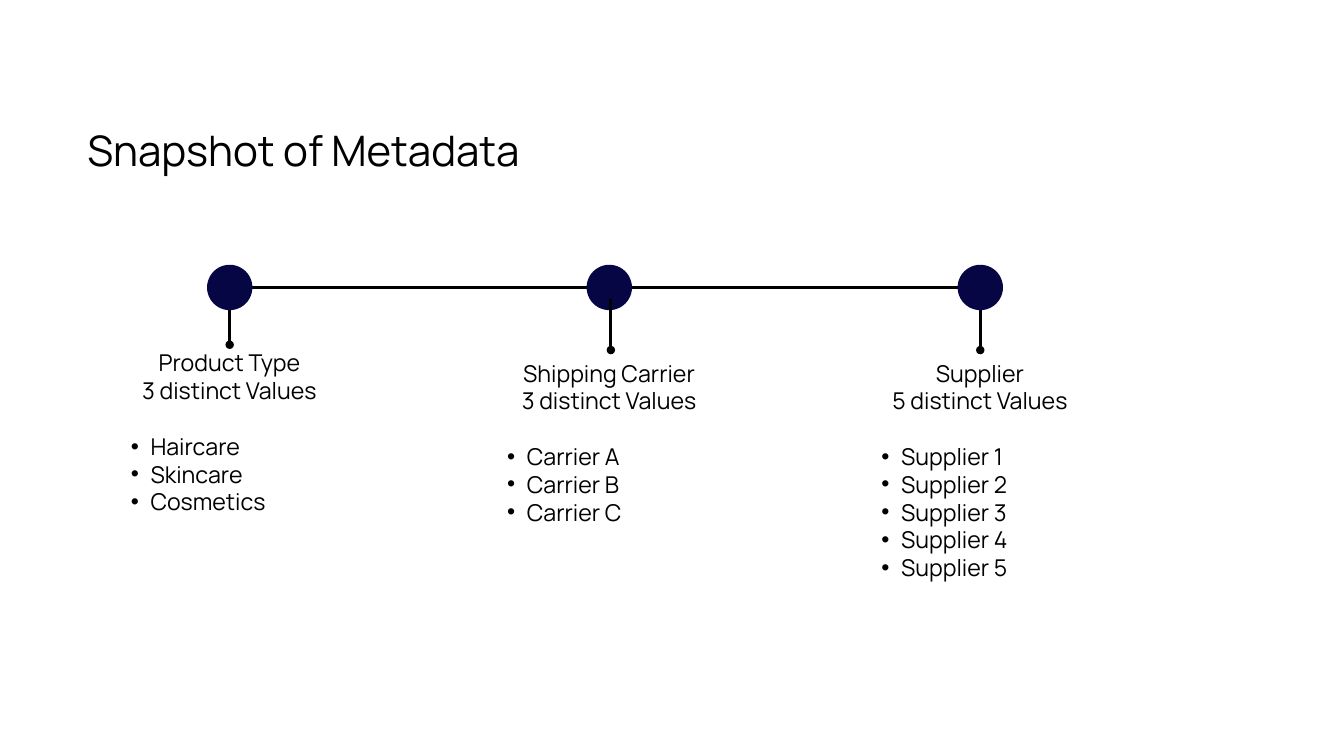
"""Build a one-slide timeline that summarises three metadata fields."""
from dataclasses import dataclass

from lxml import etree
from pptx import Presentation
from pptx import util as u
from pptx.dml.color import RGBColor
from pptx.enum import shapes, text
from pptx.oxml import ns


@dataclass
class Theme:
    ink: RGBColor = RGBColor(0, 0, 0)
    navy: RGBColor = RGBColor(0x06, 0x06, 0x44)
    font: str = "Manrope"
    title_size: float = 45
    title_leading: float = 49.5
    body_size: float = 24.8
    body_leading: float = 29.8
    line_width: float = 3


theme = Theme()
center_y = 308
diameter = 48.6
radius = diameter / 2


def add_line(x1, y1, x2, y2, oval_end=False):
    line = page.shapes.add_connector(
        shapes.MSO_CONNECTOR.STRAIGHT, u.Pt(x1), u.Pt(y1), u.Pt(x2), u.Pt(y2))
    line.line.color.rgb = theme.ink
    line.line.width = u.Pt(theme.line_width)
    if oval_end:
        etree.SubElement(line.line._get_or_add_ln(), ns.qn("a:tailEnd"), type="oval")
    etree.SubElement(line._element.spPr, ns.qn("a:effectLst"))


def add_text(left, top, width, height, lines, size, leading):
    box = page.shapes.add_textbox(u.Pt(left), u.Pt(top), u.Pt(width), u.Pt(height))
    frame = box.text_frame
    frame.margin_left = frame.margin_top = frame.margin_right = frame.margin_bottom = 0
    frame.word_wrap = True
    frame.text = "\n".join(lines)
    for para in frame.paragraphs:
        para.line_spacing = u.Pt(leading)
        for span in para.runs:
            span.font.name = theme.font
            span.font.size = u.Pt(size)
            span.font.color.rgb = theme.ink
    return frame.paragraphs


deck = Presentation()
deck.slide_width, deck.slide_height = u.Pt(1440), u.Pt(810)
page = deck.slides.add_slide(deck.slide_layouts[6])

fields = [
    (246.1, 246.1, 332.3, 369.4, (118.8, 373.7, 254.2, 177.1),
     "Product Type", ["Haircare", "Skincare", "Cosmetics"]),
    (652.8, 654.5, 320.4, 375.1, (522, 384.5, 261.4, 205.9),
     "Shipping Carrier", [f"Carrier {letter}" for letter in "ABC"]),
    (1050.3, 1050.3, 332.3, 375.1, (923, 384.5, 254.2, 235.4),
     "Supplier", [f"Supplier {number}" for number in range(1, 6)]),
]

add_text(93.6, 137.5, 559.4, 54, ["Snapshot of Metadata"],
         theme.title_size, theme.title_leading)
add_line(fields[0][0] + radius, center_y, fields[-1][0] + radius, center_y)

for center_x, stem_x, stem_top, stem_bottom, area, name, values in fields:
    dot = page.shapes.add_shape(
        shapes.MSO_SHAPE.OVAL, u.Pt(center_x - radius), u.Pt(center_y - radius),
        u.Pt(diameter), u.Pt(diameter))
    dot.shadow.inherit = False
    dot.fill.solid()
    dot.fill.fore_color.rgb = theme.navy
    dot.line.fill.background()
    add_line(stem_x, stem_top, stem_x, stem_bottom, oval_end=True)

    heading = [name, f"{len(values)} distinct Values"]
    paragraphs = add_text(*area, heading + values, theme.body_size, theme.body_leading)
    for para in paragraphs[:2]:
        para.alignment = text.PP_ALIGN.CENTER
    for para in paragraphs[2:]:
        para.level = 1
        properties = para._p.get_or_add_pPr()
        properties.set("marL", str(u.Pt(42.5)))
        properties.set("indent", str(u.Pt(-21)))
        etree.SubElement(properties, ns.qn("a:buFont"), typeface="Arial")
        etree.SubElement(properties, ns.qn("a:buChar"), char="•")
    paragraphs[2].space_before = u.Pt(theme.body_leading)

deck.save("out.pptx")
